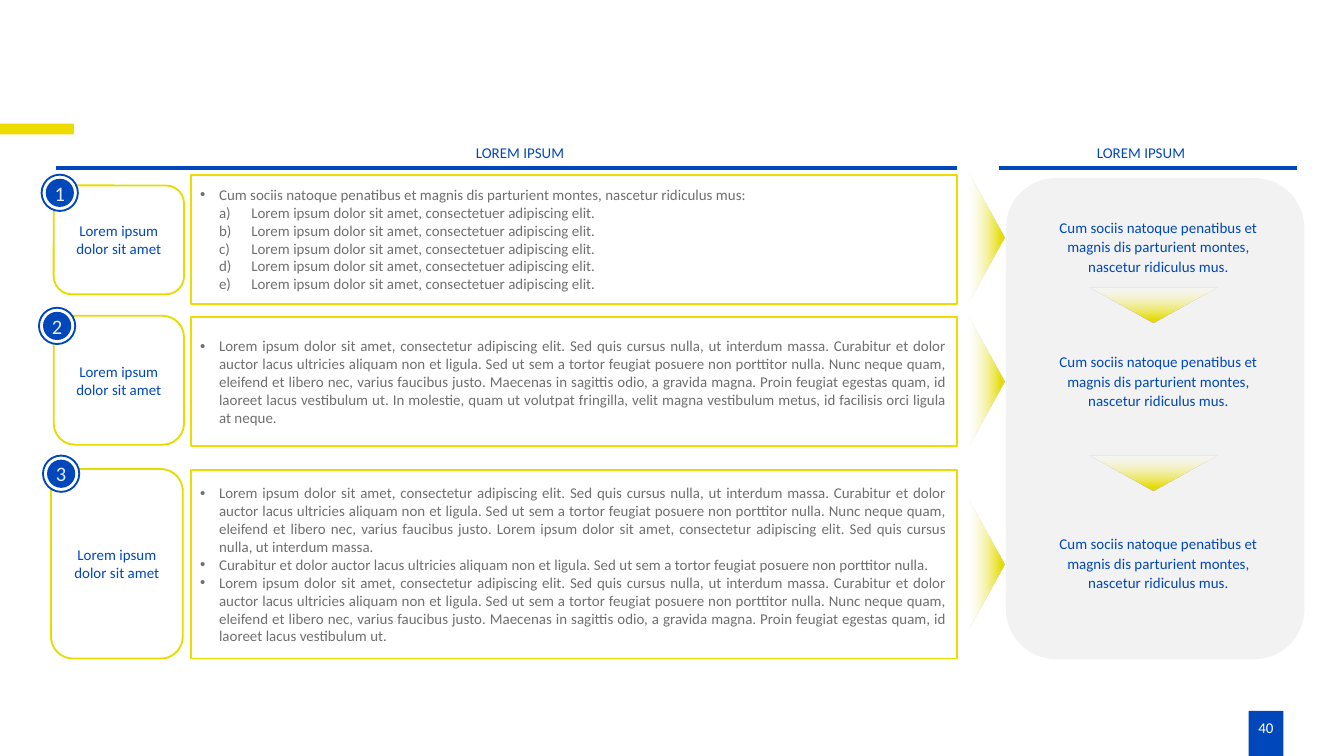
from dataclasses import dataclass
from pptx import Presentation
from pptx.dml.color import RGBColor as RGB
from pptx.enum.shapes import MSO_CONNECTOR as Line, MSO_SHAPE as Kind
from pptx.enum.text import MSO_ANCHOR as Anchor, PP_ALIGN as Align
from pptx.oxml import parse_xml
from pptx.oxml.ns import nsdecls
from pptx.util import Inches, Pt


@dataclass(frozen=True)
class Theme:
    font: str = "Calibri"
    blue: str = "0047BB"
    ring: str = "0046BA"
    gold: str = "EEDC00"
    lime: str = "E6DC00"
    gray: str = "706F6F"
    pale: str = "F2F2F2"
    ice: str = "E6EDF8"
    white: str = "FFFFFF"
    body: float = 8
    badge: float = 11


T = Theme()
BULLET = ('<a:buFont %s typeface="Arial"/>', '<a:buChar %s char="•"/>')
LETTER = ('<a:buFont %s typeface="+mj-lt"/>', '<a:buAutoNum %s type="alphaLcParenR"/>')

# Widescreen page, 16 to 9
deck = Presentation()
deck.slide_width = Inches(10)
deck.slide_height = Inches(10) * 9 // 16
slide = deck.slides.add_slide(deck.slide_layouts[6])
shapes = slide.shapes


def draw(kind, at, fill, edge=None, width=1):
    """Add a preset shape with a plain fill and an optional outline."""
    item = shapes.add_shape(kind, *map(Inches, at))
    item.shadow.inherit = False
    item.fill.solid()
    item.fill.fore_color.rgb = RGB.from_string(fill)
    if edge:
        item.line.color.rgb = RGB.from_string(edge)
        item.line.width = Pt(width)
    else:
        item.line.fill.background()
    return item


def write(item, paras, color=T.blue, size=T.body, align=Align.CENTER,
          pad=(0.07, 0.04), left=0, space=None):
    """Fill a shape with (text, marker) paragraphs, centred vertically."""
    frame = item.text_frame
    frame.word_wrap = True
    frame.vertical_anchor = Anchor.MIDDLE
    frame.margin_left = frame.margin_right = Inches(pad[0])
    frame.margin_top = frame.margin_bottom = Inches(pad[1])
    for i, (text, mark) in enumerate(paras):
        para = frame.add_paragraph() if i else frame.paragraphs[0]
        para.alignment = align
        if space:
            para.line_spacing = space
        props = para._p.get_or_add_pPr()
        hang = {BULLET: 0.14, LETTER: 0.24}.get(mark, 0)
        props.set("marL", str(Inches(0.38 if mark == LETTER else hang or left)))
        props.set("indent", str(Inches(-hang)))
        for tag in mark or ():
            props.append(parse_xml(tag % nsdecls("a")))
        run = para.add_run()
        run.text = text
        run.font.name, run.font.size = T.font, Pt(size)
        run.font.color.rgb = RGB.from_string(color)


# Wording
lorem = ("Lorem ipsum dolor sit amet, consectetur adipiscing elit. Sed quis cursus nulla, "
         "ut interdum massa. ")
auctor = ("auctor lacus ultricies aliquam non et ligula. Sed ut sem a tortor feugiat "
          "posuere non porttitor nulla.")
start = (lorem + "Curabitur et dolor " + auctor
         + " Nunc neque quam, eleifend et libero nec, varius faucibus justo. ")
proin = ("Maecenas in sagittis odio, a gravida magna. Proin feugiat egestas quam, "
         "id laoreet lacus vestibulum ut.")
molest = (" In molestie, quam ut volutpat fringilla, velit magna vestibulum metus, "
          "id facilisis orci ligula at neque.")
point = "Lorem ipsum dolor sit amet, consectetuer adipiscing elit."
cum = "Cum sociis natoque penatibus et magnis dis parturient montes, nascetur ridiculus mus"

# Rows: label box, detail top and height, badge corner, result top and height, arrow middle
rows = [
    ((0.4, 1.38, 0.97, 0.81), (1.3, 0.96), (0.31, 1.3), (1.51, 0.64), 1.77,
     [(cum + ":", BULLET)] + [(point, LETTER)] * 5),
    ((0.4, 2.35, 0.97, 0.96), (2.36, 0.96), (0.29, 2.29), (2.35, 0.96), 2.84,
     [(start + proin + molest, BULLET)]),
    ((0.38, 3.49, 0.98, 1.41), (3.5, 1.4), (0.32, 3.39), (3.57, 1.23), 4.2,
     [(start + lorem.strip(), BULLET), ("Curabitur et dolor " + auctor, BULLET),
      (start + proin, BULLET)]),
]

# Accent bar and page number
draw(Kind.RECTANGLE, (0, 0.92, 0.55, 0.08), T.gold)
draw(Kind.RECTANGLE, (9.29, 5.29, 0.26, 0.34), T.blue)
page = shapes.add_textbox(*map(Inches, (9.3, 5.35, 0.21, 0.13)))
write(page, [("40", None)], T.white, pad=(0, 0), left=0.03)

# Column headings with rules
for left, right, at in ((0.42, 7.12, (0.62, 1.07, 6.5, 0.13)),
                        (7.43, 9.65, (7.43, 1.07, 2.12, 0.13))):
    head = shapes.add_textbox(*map(Inches, at))
    write(head, [("LOREM IPSUM", None)], pad=(0, 0))
    rule = shapes.add_connector(Line.STRAIGHT, *map(Inches, (left, 1.25, right, 1.25)))
    rule.line.color.rgb = RGB.from_string(T.blue)
    rule.line.width = Pt(1.75)
    rule._element.spPr.append(parse_xml("<a:effectLst %s/>" % nsdecls("a")))

# Results panel
draw(Kind.ROUNDED_RECTANGLE, (7.49, 1.33, 2.21, 3.57), T.pale, T.pale, 0.75)

# Rows of label, details, badge and result
for num, (label, (top, high), (x, y), (res, tall), mid, paras) in enumerate(rows, 1):
    card = draw(Kind.ROUNDED_RECTANGLE, label, T.white, T.lime)
    write(card, [("Lorem ipsum dolor sit amet", None)])
    info = draw(Kind.RECTANGLE, (1.42, top, 5.7, high), T.white, T.gold)
    write(info, paras, T.gray, align=Align.JUSTIFY)
    draw(Kind.OVAL, (x, y, 0.27, 0.27), T.white, T.ring)
    draw(Kind.OVAL, (x + 0.03, y + 0.03, 0.21, 0.21), T.blue)
    digit = shapes.add_textbox(*map(Inches, (x - 0.18, y + 0.04, 0.62, 0.19)))
    write(digit, [(str(num), None)], T.ice, T.badge, pad=(0, 0), left=0.01)
    note = shapes.add_textbox(*map(Inches, (7.62, res, 1.93, tall)))
    write(note, [(cum + ".", None)], left=0.07, space=1.1)

# Fading arrows: right from each row, down between results
fade = f"""<a:gradFill {nsdecls("a")} rotWithShape="1"><a:gsLst>
<a:gs pos="0"><a:srgbClr val="{T.white}"><a:alpha val="29000"/></a:srgbClr></a:gs>
<a:gs pos="91000"><a:srgbClr val="{T.lime}"/></a:gs>
<a:gs pos="100000"><a:srgbClr val="{T.lime}"/></a:gs>
</a:gsLst><a:lin ang="16200000" scaled="0"/></a:gradFill>"""
spots = [(6.87, row[4] - 0.13, 90) for row in rows] + [(8.11, y, 180) for y in (2.14, 3.39)]
for x, y, turn in spots:
    arrow = draw(Kind.FLOWCHART_EXTRACT, (x, y, 0.95, 0.26), T.lime)
    arrow.rotation = turn
    props = arrow._element.spPr
    props.replace(props[2], parse_xml(fade))

deck.save("out.pptx")
